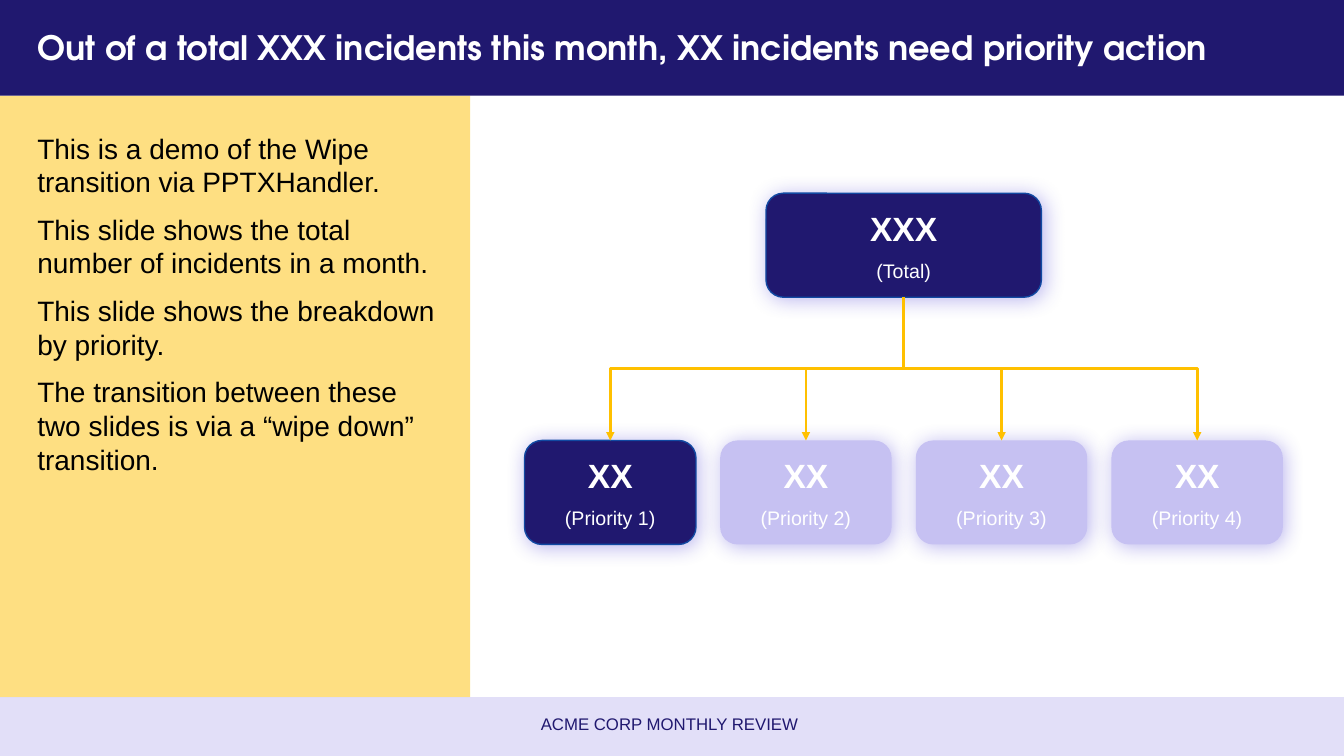
import pptx
import pptx.util
import pptx.dml.color
import pptx.enum.shapes
import pptx.enum.text
import pptx.oxml
import pptx.oxml.ns

Cm = pptx.util.Cm
Pt = pptx.util.Pt
Shape = pptx.enum.shapes.MSO_SHAPE
Align = pptx.enum.text.PP_ALIGN
Anchor = pptx.enum.text.MSO_ANCHOR
qn = pptx.oxml.ns.qn
SPACE = 'xmlns:a="http://schemas.openxmlformats.org/drawingml/2006/main"'

COLORS = {"navy": "20186F", "edge": "1149A2", "lilac": "C6C1F2", "amber": "FEC107",
          "gold": "FFC000", "glow": "5346D7", "white": "FFFFFF", "black": "000000"}

TEXTS = {
    "title": {"font": {"name": "TeX Gyre Adventor", "size": Pt(24), "bold": True},
              "color": "white", "para": {"alignment": Align.LEFT},
              "frame": {"vertical_anchor": Anchor.MIDDLE}},
    "body": {"font": {"name": "Arial", "size": Pt(20)}, "color": "black",
             "para": {"space_before": Pt(10), "line_spacing": Pt(24)}, "frame": {}},
    "count": {"font": {"name": "Arial", "size": Pt(24), "bold": True}, "color": "white",
              "para": {"alignment": Align.CENTER}, "frame": {}},
    "label": {"font": {"name": "Arial", "size": Pt(14)}, "color": "white",
              "para": {"alignment": Align.CENTER}, "frame": {}},
    "footer": {"font": {"name": "Arial", "size": Pt(12)}, "color": "navy",
               "para": {"alignment": Align.CENTER},
               "frame": {"vertical_anchor": Anchor.MIDDLE}},
}


def paint(color, name):
    color.rgb = pptx.dml.color.RGBColor.from_string(COLORS[name])


def assign(target, values):
    for key, value in values.items():
        setattr(target, key, value)


class Deck:
    def __init__(self, width, height):
        self.show = pptx.Presentation()
        assign(self.show, {"slide_width": Cm(width), "slide_height": Cm(height)})
        self.slide = self.show.slides.add_slide(self.show.slide_layouts[5])
        self.shapes = self.slide.shapes

    def fill(self, shape, lines, style):
        form = TEXTS[style]
        frame = shape.text_frame
        frame.text = "\n".join(lines)
        assign(frame, {"word_wrap": True, "auto_size": pptx.enum.text.MSO_AUTO_SIZE.NONE,
                       **form["frame"]})
        for para in frame.paragraphs:
            assign(para, form["para"])
            for run in para.runs:
                assign(run.font, form["font"])
                paint(run.font.color, form["color"])

    def title(self, text, left, top, width, height):
        shape = self.shapes.title
        assign(shape, {"left": Cm(left), "top": Cm(top),
                       "width": Cm(width), "height": Cm(height)})
        shape.element.getparent().append(shape.element)
        self.fill(shape, [text], "title")

    def text(self, lines, style, *box):
        self.fill(self.shapes.add_textbox(*map(Cm, box)), lines, style)

    def block(self, kind, fill, *box, alpha=None, edge=None):
        shape = self.shapes.add_shape(kind, *map(Cm, box))
        shape.shadow.inherit = False
        shape.fill.solid()
        paint(shape.fill.fore_color, fill)
        if alpha:
            tint = shape.element.spPr.find(qn("a:solidFill"))[0]
            tint.append(pptx.oxml.parse_xml(f'<a:alpha {SPACE} val="{alpha * 1000}"/>'))
        if edge:
            paint(shape.line.color, edge)
            shape.line.width = Pt(1)
        else:
            shape.line.fill.background()
        return shape

    def card(self, count, label, left, top, width, height, dark):
        shape = self.block(Shape.ROUNDED_RECTANGLE, "navy" if dark else "lilac",
                           left, top, width, height, edge="edge" if dark else None)
        glow = pptx.oxml.parse_xml(
            f'<a:outerShdw {SPACE} blurRad="{Pt(15)}" dist="{Pt(2)}" dir="2700000"'
            f' algn="tl" rotWithShape="0"><a:srgbClr val="{COLORS["glow"]}">'
            '<a:alpha val="40000"/></a:srgbClr></a:outerShdw>')
        shape.element.spPr.find(qn("a:effectLst")).append(glow)
        self.text([count], "count", left + 0.05, top + 0.25, width - 0.1, 1.27)
        self.text([label], "label", left + 0.05, top + 1.52, width - 0.1, 0.86)
        return shape

    def link(self, upper, lower):
        line = self.shapes.add_connector(pptx.enum.shapes.MSO_CONNECTOR.ELBOW, 0, 0, 0, 0)
        line.begin_connect(upper, 2)
        line.end_connect(lower, 0)
        right = line.end_x > line.begin_x
        span, drop = line.width, line.height
        assign(line, {"left": line.left + (span - drop) // 2,
                      "top": line.top + (drop - span) // 2,
                      "width": drop, "height": span})
        frame = line.element.spPr.find(qn("a:xfrm"))
        frame.set("rot", "16200000" if right else "5400000")
        frame.set("flipH", "1" if right else "0")
        paint(line.line.color, "gold")
        line.line.width = Pt(2)
        line.element.spPr.find(qn("a:ln")).append(
            pptx.oxml.parse_xml(f'<a:tailEnd {SPACE} type="triangle"/>'))
        line.element.spPr.append(pptx.oxml.parse_xml(f'<a:effectLst {SPACE}/>'))


WIDE, HIGH, HEAD, FOOT = 33.87, 19.05, 2.41, 17.57
deck = Deck(WIDE, HIGH)
deck.block(Shape.RECTANGLE, "amber", 0, HEAD, 11.85, FOOT - HEAD, alpha=50)
deck.block(Shape.RECTANGLE, "lilac", 0, FOOT, WIDE, HIGH - FOOT, alpha=50)
deck.block(Shape.RECTANGLE, "navy", 0, 0, WIDE, HEAD)
deck.title("Out of a total XXX incidents this month, XX incidents need priority action",
           0.69, 0.3, 32.51, 1.78)
deck.text(["This is a demo of the Wipe transition via PPTXHandler.",
           "This slide shows the total number of incidents in a month.",
           "This slide shows the breakdown by priority.",
           "The transition between these two slides is via a “wipe down” transition."],
          "body", 0.69, 3.18, 10.54, 14.22)

CARD, STEP, LEFT, TALL = 4.32, 4.93, 13.22, 2.62
ROOT = 6.94
center = LEFT + (3 * STEP + CARD) / 2
total = deck.card("XXX", "(Total)", center - ROOT / 2, 4.87, ROOT, TALL, True)
cards = [deck.card("XX", f"(Priority {i + 1})", LEFT + i * STEP, 11.1, CARD, TALL, i == 0)
         for i in range(4)]
for card in cards:
    deck.link(total, card)

deck.text(["ACME CORP MONTHLY REVIEW"], "footer", 5.18, 17.73, 23.39, 1.02)
deck.show.save("out.pptx")
